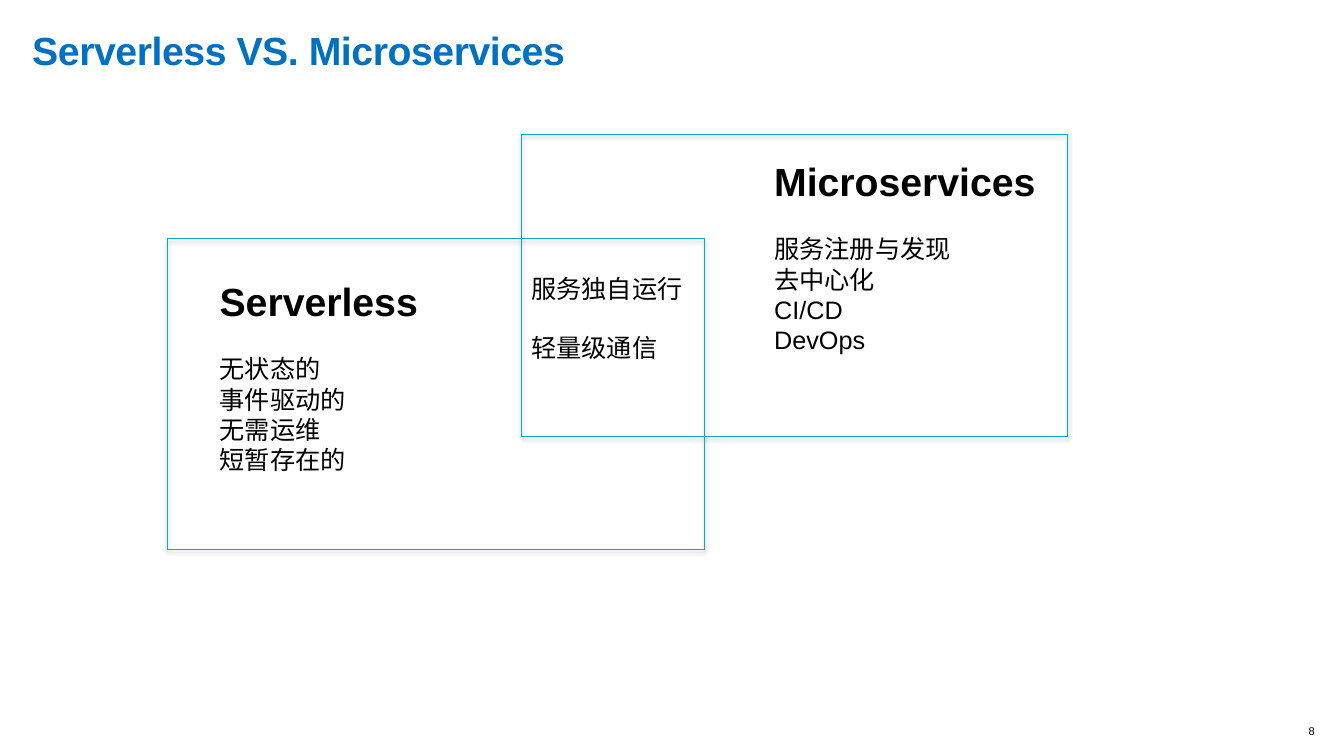
"""Build a slide comparing serverless and microservices as two overlapping boxes."""
from lxml import etree
from pptx import Presentation
from pptx.dml.color import RGBColor
from pptx.enum.shapes import MSO_SHAPE as Shape
from pptx.enum.text import MSO_ANCHOR as Anchor
from pptx.util import Inches, Pt

SHADOW = (
    '<a:effectLst xmlns:a="http://schemas.openxmlformats.org/drawingml/2006/main">'
    '<a:outerShdw blurRad="39370" dist="22860" dir="5400000" rotWithShape="0">'
    '<a:srgbClr val="000000"><a:alpha val="35000"/></a:srgbClr>'
    '</a:outerShdw></a:effectLst>'
)


def color(value):
    return RGBColor.from_string(value)


def add_text(lines, left, top, width, height, size=18, heading_size=None, fill="000000",
             bold=False, gap=0, inset=None, spacing=None, wrap=True, anchor=Anchor.TOP):
    box = slide.shapes.add_textbox(Inches(left), Inches(top), Inches(width), Inches(height))
    frame = box.text_frame
    frame.word_wrap = wrap
    frame.vertical_anchor = anchor
    if inset is not None:
        frame.margin_left = frame.margin_right = Inches(inset)
        frame.margin_top = frame.margin_bottom = Inches(inset)
    for index, line in enumerate(lines):
        paragraph = frame.paragraphs[0] if index == 0 else frame.add_paragraph()
        if index == 1:
            paragraph.space_before = Pt(gap)
        is_heading = index == 0 and heading_size is not None
        run = paragraph.add_run()
        run.text = line
        run.font.name = "Arial"
        run.font.size = Pt(heading_size if is_heading else size)
        run.font.bold = bold or is_heading
        run.font.color.rgb = color(fill)
        if spacing is not None:
            run.font._element.set("spc", str(spacing))


presentation = Presentation()
presentation.slide_width = Inches(13.33)
presentation.slide_height = Inches(7.5)
slide = presentation.slides.add_slide(presentation.slide_layouts[6])

add_text(["8"], 12.98, 7.19, 0.27, 0.13, size=8, inset=0, spacing=-30, anchor=Anchor.MIDDLE)
add_text(["Serverless VS. Microservices"], 0.32, 0.26, 12.8, 0.47,
         size=28, fill="0070C0", bold=True, inset=0, spacing=-30)

topics = [
    (["Serverless", "无状态的", "事件驱动的", "无需运维", "短暂存在的"], 2.08, 2.7, 2.19, 2.39),
    (["Microservices", "服务注册与发现", "去中心化", "CI/CD", "DevOps"], 7.58, 1.51, 2.82, 2.69),
]
for lines, left, top, width, height in topics:
    add_text(lines, left, top, width, height, heading_size=28, gap=21, wrap=False)

for left, top, width, height in [(5.17, 1.33, 5.42, 3), (1.66, 2.37, 5.33, 3.08)]:
    outline = slide.shapes.add_shape(
        Shape.RECTANGLE, Inches(left), Inches(top), Inches(width), Inches(height))
    outline.fill.background()
    outline.line.color.rgb = color("00ACD5")
    outline.line.width = Pt(0.75)
    outline._element.spPr.append(etree.fromstring(SHADOW))

add_text(["服务独自运行", "轻量级通信"], 5.17, 2.66, 1.82, 1.31, gap=21)

presentation.save("out.pptx")
